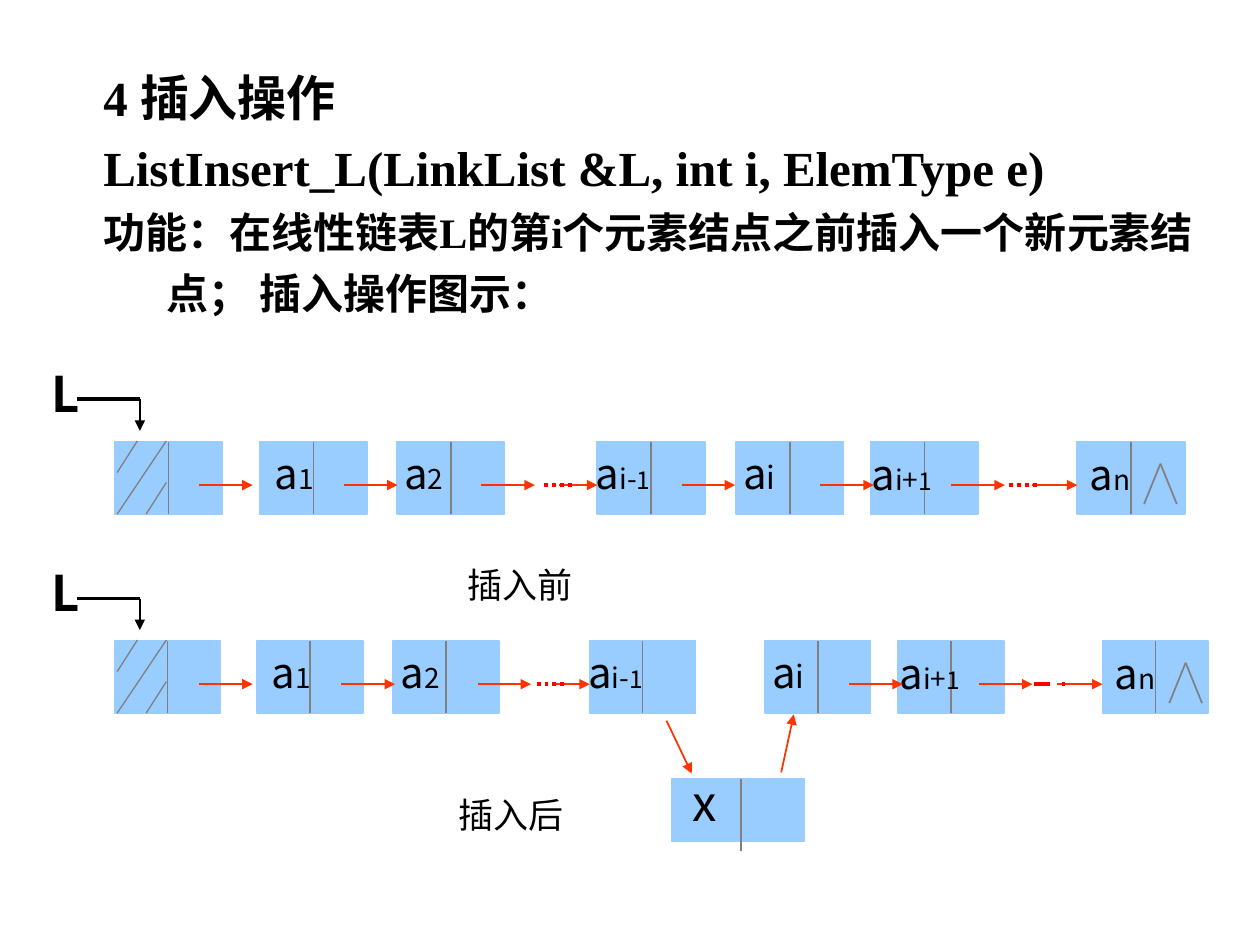
from pptx import Presentation
from pptx.dml.color import RGBColor
from pptx.enum.dml import MSO_LINE_DASH_STYLE as Dash
from pptx.enum.shapes import MSO_CONNECTOR as Connector, MSO_SHAPE as Shape
from pptx.enum.text import MSO_ANCHOR as Anchor, MSO_AUTO_SIZE as AutoSize, PP_ALIGN as Align
from pptx.oxml.ns import qn
from pptx.util import Inches, Pt
from lxml.etree import SubElement

COLORS = {"node": "99CCFF", "divider": "808080", "arrow": "FF3300",
          "dots": "FF0000", "ink": "000000"}
SANS = "Noto Sans CJK SC"

deck = Presentation()
deck.slide_width, deck.slide_height = Inches(10), Inches(7.5)
COLUMN = deck.slide_width / 100  # square grid: 100 columns by 75 rows
page = deck.slides.add_slide(deck.slide_layouts[5])


def write_text(paragraphs, place, box=None, font=SANS, bold=False, spacing=1.0, hanging=0):
    """Fill a box with paragraphs, each a list of (text, size) runs; place is in columns."""
    box = box or page.shapes.add_textbox(0, 0, 0, 0)
    box.left, box.top, box.width, box.height = [round(part * COLUMN) for part in place]
    frame = box.text_frame
    frame.word_wrap = True
    frame.auto_size = AutoSize.NONE
    frame.vertical_anchor = Anchor.TOP
    for index, runs in enumerate(paragraphs):
        para = frame.add_paragraph() if index else frame.paragraphs[0]
        para.alignment = Align.LEFT
        para.line_spacing = spacing
        if hanging:
            properties = para._p.get_or_add_pPr()
            properties.set("marL", str(round(hanging * COLUMN)))
            properties.set("indent", str(round(-hanging * COLUMN)))
        for text, size in runs:
            span = para.add_run()
            span.text = text
            span.font.name, span.font.size, span.font.bold = font, Pt(size), bold
            span.font.color.rgb = RGBColor.from_string(COLORS["ink"])
            SubElement(span.font._element, qn("a:ea"), typeface=SANS)


def draw_line(start, end, color, width=1, dash=None, arrow=False):
    line = page.shapes.add_connector(
        Connector.STRAIGHT, *[round(part * COLUMN) for part in (*start, *end)])
    line.line.color.rgb = RGBColor.from_string(COLORS[color])
    line.line.width = Pt(width)
    if dash:
        line.line.dash_style = dash
    if arrow:
        SubElement(line.line._get_or_add_ln(), qn("a:tailEnd"), type="triangle")
    SubElement(line._element.spPr, qn("a:effectLst"))


write_text(
    [[("4 插入操作", 28)],
     [("ListInsert_L(LinkList &L, int i, ElemType e)", 28)],
     [("功能：在线性链表L的第i个元素结点之前插入一个新元素结点； 插入操作图示：", 24)]],
    (7.2, 3.9, 89, 21.8), box=page.shapes.title,
    font="Times New Roman", bold=True, spacing=1.2, hanging=5)

for caption, left, top in (("插入前", 36.1, 44.2), ("插入后", 35.4, 62.5)):
    write_text([[(caption, 20)]], (left, top, 13.3, 4.4), font="Arial")

# Label runs, then the label box relative to its node: left, top, width, height
LABELS = {
    "1": ([("a", 24), ("1", 16)], 0.2, -0.1, 8.9, 5),
    "2": ([("a", 24), ("2", 16)], -0.4, -0.1, 7.1, 5),
    "i-1": ([("a", 24), ("i-", 16), ("1", 14)], -1.1, -0.1, 8.7, 5),
    "i": ([("a", 24), ("i", 18)], -0.4, -0.1, 5, 8),
    "i+1": ([("a", 24), ("i+", 16), ("1", 14)], -0.9, 0, 7.4, 7.4),
    "n": ([("a", 24), ("n", 16)], 0, 0, 6.1, 5),
    "x": ([("x", 28)], 0.7, -1, 5.7, 5.7),
}
BEFORE = {"head": 9.1, "1": 20.6, "2": 31.5, "i-1": 47.4, "i": 58.4, "i+1": 69.1, "n": 85.5}
AFTER = {"head": 9.1, "1": 20.4, "2": 31.2, "i-1": 46.8, "i": 60.7, "i+1": 71.3, "n": 87.5}
ROWS = ((35.1, 8.55, BEFORE), (50.9, 8.4, AFTER))
NODE_HEIGHT, ARROW_DROP = 5.7, 3.4

nodes = [(name, left, top, width, NODE_HEIGHT, width / 2)
         for top, width, lefts in ROWS for name, left in lefts.items()]
nodes.append(("x", 53.3, 61.8, 10.5, 5, 5.5))

for name, left, top, width, height, split in nodes:
    node = page.shapes.add_shape(
        Shape.RECTANGLE, *[round(part * COLUMN) for part in (left, top, width, height)])
    node.shadow.inherit = False
    node.fill.solid()
    node.fill.fore_color.rgb = RGBColor.from_string(COLORS["node"])
    node.line.color.rgb = RGBColor.from_string(COLORS["node"])
    node.line.width = Pt(1)
    draw_line((left + split, top), (left + split, top + NODE_HEIGHT), "divider")

for name, left, top, *size in nodes:
    if name in LABELS:
        runs, shift, drop, width, height = LABELS[name]
        write_text([runs], (left + shift, top + drop, width, height))

for top, width, lefts in ROWS:
    level = top + ARROW_DROP
    for name, left in lefts.items():
        if name == "n" or (name == "i-1" and lefts is AFTER):
            continue
        start = left + (6.4 if name == "i+1" else 6.7)
        draw_line((start, level), (start + 4.25, level), "arrow", arrow=True)

    # Elided stretches in front of a(i-1) and a(n)
    last_dash = Dash.DASH if lefts is AFTER else Dash.ROUND_DOT
    for name, arrow_gap, dots_gap, dash in (("i-1", 3, 4.2, Dash.ROUND_DOT),
                                            ("n", 3.6, 5.4, last_dash)):
        left = lefts[name]
        draw_line((left - arrow_gap, level), (left, level), "arrow", arrow=True)
        draw_line((left - dots_gap, level), (left - dots_gap + 2.4, level),
                  "dots", width=2.25, dash=dash)

    # Null mark in the last node
    peak = lefts["n"] + 6.6
    for side in (-1.3, 1.3):
        draw_line((peak, top + 1.7), (peak + side, top + 4.9), "divider")

    # Hatching of the head node
    head = lefts["head"]
    for x1, y1, x2, y2 in ((4.1, -0.1, 0.2, 5.7), (1.8, -0.1, 0.2, 2.4), (4.1, 3.2, 2.5, 5.7)):
        draw_line((head + x1, top + y1), (head + x2, top + y2), "divider", width=0.75)

    # Head pointer
    draw_line((6.1, top - 3.4), (11.1, top - 3.4), "ink", width=2.25)
    draw_line((11.1, top - 3.4), (11.1, top - 0.9), "ink", width=1.5, arrow=True)
    write_text([[("L", 28)]], (3.1, top - 6.75, 9.2, 5.7), bold=True)

# Links into and out of the inserted node
draw_line((52.9, 57.2), (54.9, 61.4), "arrow", arrow=True)
draw_line((62, 61.3), (63, 56.7), "arrow", arrow=True)

deck.save("out.pptx")
